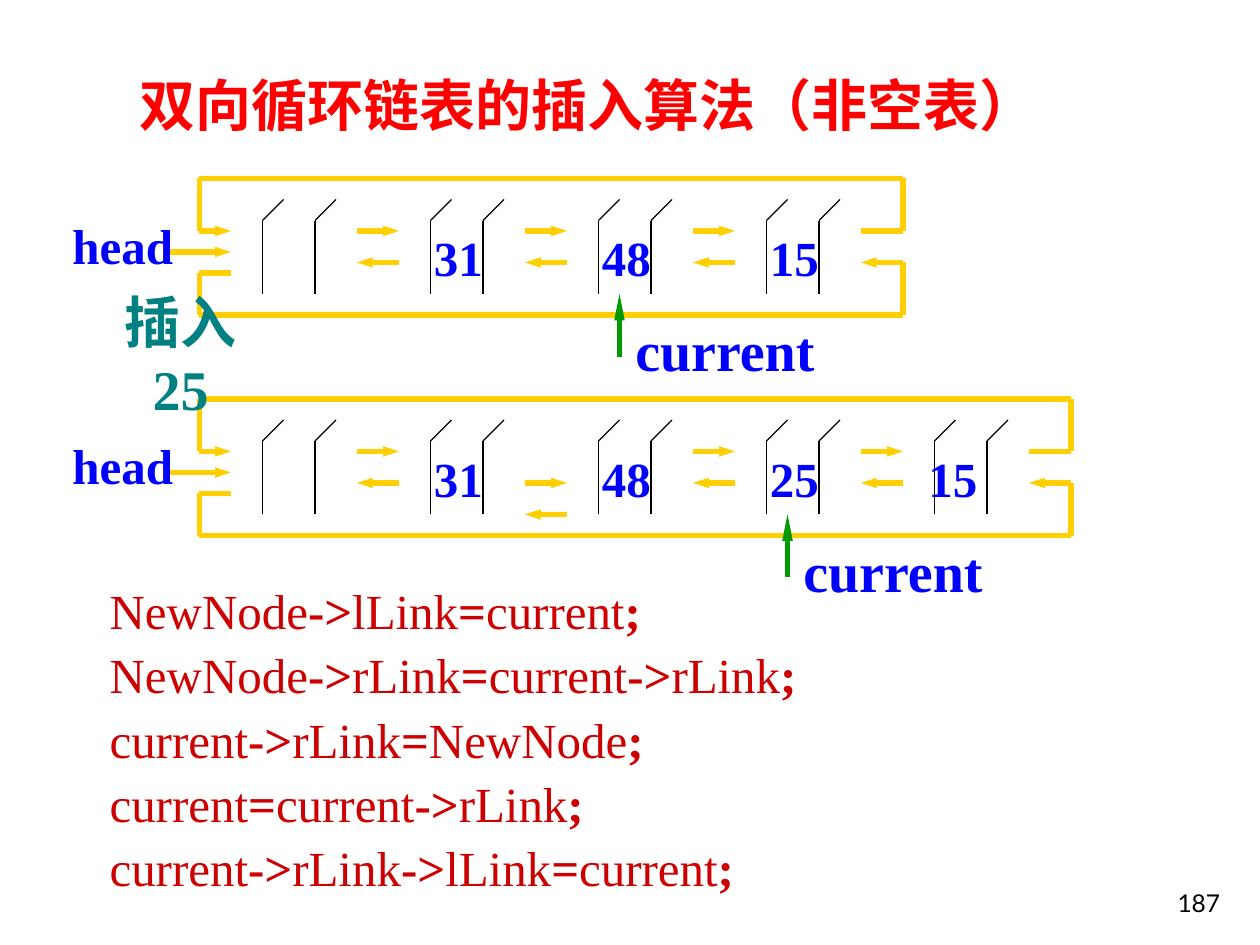
from dataclasses import dataclass
from itertools import groupby

from lxml.etree import SubElement
from pptx import Presentation
from pptx.dml.color import RGBColor
from pptx.enum.shapes import MSO_CONNECTOR
from pptx.enum.text import MSO_ANCHOR, MSO_AUTO_SIZE, PP_ALIGN
from pptx.oxml.ns import qn
from pptx.util import Inches, Pt


@dataclass(frozen=True)
class Theme:
    title: str = "FF0000"
    label: str = "0000FF"
    note: str = "008080"
    code: str = "CC0000"
    ink: str = "000000"
    link: str = "FFCF01"
    mark: str = "009900"
    big: int = 32
    mid: int = 28
    small: int = 14
    thin: float = 0.75
    thick: float = 3
    font: str = "Times New Roman"
    plain: str = "Lato"


@dataclass(frozen=True)
class Node:
    text: str = ""
    nudge: float = 0  # shift of the value, in columns


@dataclass(frozen=True)
class Ring:
    top: int
    nodes: tuple[Node, ...]
    current: int
    low: tuple[int, ...] = ()  # gaps whose arrows sit lower


THEME = Theme()
COLS, ROWS = 120, 90
PITCH = 16  # columns from node to node
FIRST = 25  # column of the first node
LEFT = 19  # column of the ring's left side

RINGS = (
    Ring(17, (Node(), Node("31"), Node("48"), Node("15")), 2),
    Ring(38, (Node(), Node("31"), Node("48"), Node("25"), Node("15", -0.9)), 3, (1,)),
)
CODE = """NewNode->lLink=current;
NewNode->rLink=current->rLink;
current->rLink=NewNode;
current=current->rLink;
current->rLink->lLink=current;"""

deck = Presentation()
deck.slide_width, deck.slide_height = Inches(10), Inches(7.5)
slide = deck.slides.add_slide(deck.slide_layouts[1])


def col(n: float) -> int:
    return round(deck.slide_width * n / COLS)


def row(n: float) -> int:
    return round(deck.slide_height * n / ROWS)


def write(text: str, x: float, y: float, w: float, h: float, *, holder=None,
          size: int = THEME.mid, color: str = THEME.label, font: str = THEME.font,
          bold: bool = True, align=PP_ALIGN.CENTER, anchor=MSO_ANCHOR.MIDDLE,
          pad: tuple[float, float] = (0.1, 0.05), wrap: bool = False,
          code: bool = False) -> None:
    """Fill a placeholder or a new box; code sets only its symbols in bold."""
    shape = holder or slide.shapes.add_textbox(0, 0, 0, 0)
    shape.left, shape.top, shape.width, shape.height = col(x), row(y), col(w), row(h)
    frame = shape.text_frame
    frame.auto_size, frame.word_wrap = MSO_AUTO_SIZE.NONE, wrap
    frame.vertical_anchor = anchor
    frame.margin_left = frame.margin_right = Inches(pad[0])
    frame.margin_top = frame.margin_bottom = Inches(pad[1])
    for i, line in enumerate(text.split("\n")):
        para = frame.add_paragraph() if i else frame.paragraphs[0]
        para.alignment = align
        para.space_before = Pt(6.5 if i else 0)
        if code:
            para.line_spacing = 0.9
            props = para._p.get_or_add_pPr()
            props.set("marL", "0")
            props.set("indent", "0")
            SubElement(props, qn("a:buNone"))
        parts = groupby(line, str.isalpha) if code else [(not bold, line)]
        for light, chars in parts:
            run = para.add_run()
            run.text = "".join(chars)
            run.font.name, run.font.size = font, Pt(size)
            run.font.bold = not light
            run.font.color.rgb = RGBColor.from_string(color)


def draw(*points: tuple[float, float], color: str = THEME.link,
         width: float = THEME.thick, tip: str = "") -> None:
    """Join the points with lines; tip is the length of the last arrowhead."""
    for start, end in zip(points, points[1:]):
        line = slide.shapes.add_connector(
            MSO_CONNECTOR.STRAIGHT,
            col(start[0]), row(start[1]), col(end[0]), row(end[1]))
        line.line.color.rgb = RGBColor.from_string(color)
        line.line.width = Pt(width)
        if tip and end == points[-1]:
            SubElement(line.line._get_or_add_ln(), qn("a:tailEnd"),
                       type="triangle", w="sm", len=tip)
        SubElement(line._element.spPr, qn("a:effectLst"))


def draw_node(node: Node, x: int, top: int) -> None:
    for side in (x, x + 5):
        draw((side + 2, top + 2), (side, top + 4), (side, top + 11),
             color=THEME.ink, width=THEME.thin)
    if node.text:
        write(node.text, x - 0.9 + node.nudge, top + 4.1, 7.1, 6.8)


def draw_ring(ring: Ring) -> None:
    top, count = ring.top, len(ring.nodes)
    out, back, base = top + 5, top + 8, top + 13
    right = FIRST + PITCH * count - 3
    for i in range(count - 1):
        x = FIRST + PITCH * i + 9
        drop = 3 if i in ring.low else 0
        draw((x, out + drop), (x + 4, out + drop), tip="med")
        draw((x + 4, back + drop), (x, back + drop), tip="med")
    draw((right - 4, out), (right, out), (right, top), (LEFT, top),
         (LEFT, out), (LEFT + 3, out), tip="med")
    draw((LEFT + 3, top + 9), (LEFT, top + 9), (LEFT, base),
         (right, base), (right, back), (right - 4, back), tip="med")
    draw((LEFT - 3, top + 7), (LEFT + 3, top + 7), tip="med")
    write("head", 5.64, top + 2.9, 12.1, 6.8)
    for i, node in enumerate(ring.nodes):
        draw_node(node, FIRST + PITCH * i, top)
    mark = FIRST + PITCH * ring.current + 2
    draw((mark, top + 17), (mark, top + 11), color=THEME.mark, tip="lg")
    write("current", mark + 0.25, top + 12.5, 19.6, 7.5, size=THEME.big)


write("双向循环链表的插入算法（非空表）", 11.8, 6, 94.2, 7.9, holder=slide.shapes.title,
      size=THEME.big, color=THEME.title, align=PP_ALIGN.LEFT,
      anchor=MSO_ANCHOR.TOP, pad=(0.12, 0.06), wrap=True)
for ring in RINGS:
    draw_ring(ring)
write("插入25", 10.2, 30, 14, 7.5, size=THEME.big, color=THEME.note, wrap=True)
write(CODE, 9, 55.2, 87, 31, holder=slide.placeholders[1], color=THEME.code,
      align=PP_ALIGN.LEFT, anchor=MSO_ANCHOR.TOP, pad=(0.12, 0.06),
      wrap=True, code=True)
write("187", 92.4, 82, 25, 6, size=THEME.small, color=THEME.ink, font=THEME.plain,
      bold=False, align=PP_ALIGN.RIGHT, anchor=MSO_ANCHOR.BOTTOM, wrap=True)

deck.save("out.pptx")
